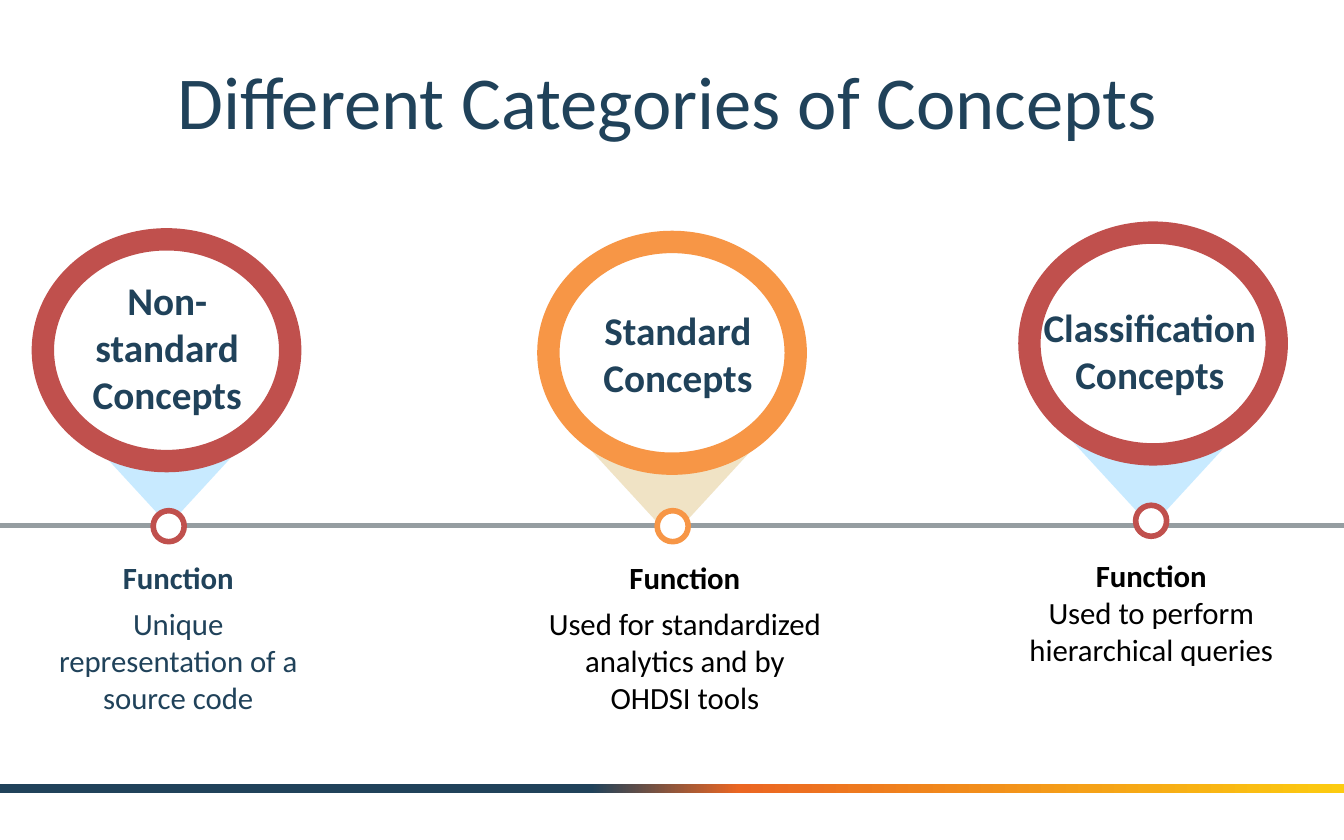
from lxml import etree
from pptx import Presentation
from pptx.dml.color import RGBColor
from pptx.enum.shapes import MSO_CONNECTOR, MSO_SHAPE
from pptx.enum.text import MSO_ANCHOR, PP_ALIGN
from pptx.oxml.ns import qn
from pptx.util import Pt

COLORS = {"navy": "20425A", "black": "000000", "white": "FFFFFF", "gray": "959DA1",
          "red": "C0504D", "orange": "F79646", "sky": "1DABFF", "gold": "C18B0D"}
FOOTER_STOPS = [(44, "20425A"), (55, "EB6622"), (100, "FCCB10")]

presentation = Presentation()
presentation.slide_width, presentation.slide_height = Pt(720), Pt(450)
slide = presentation.slides.add_slide(presentation.slide_layouts[6])


def add_shape(kind, box, fill, line=None, line_width=0):
    shape = slide.shapes.add_shape(kind, *map(Pt, box))
    shape.shadow.inherit = False
    shape.fill.solid()
    shape.fill.fore_color.rgb = RGBColor.from_string(COLORS[fill])
    if line:
        shape.line.color.rgb = RGBColor.from_string(COLORS[line])
        shape.line.width = Pt(line_width)
    else:
        shape.line.fill.background()
    return shape


def add_text(box, paragraphs, margins=(0, 0), anchor=MSO_ANCHOR.TOP):
    """Each paragraph is (text, font formats, paragraph formats)."""
    frame = slide.shapes.add_textbox(*map(Pt, box)).text_frame
    frame.word_wrap = True
    frame.vertical_anchor = anchor
    frame.margin_left = frame.margin_right = Pt(margins[0])
    frame.margin_top = frame.margin_bottom = Pt(margins[1])
    for index, (text, font, layout) in enumerate(paragraphs):
        paragraph = frame.add_paragraph() if index else frame.paragraphs[0]
        for name, value in layout.items():
            setattr(paragraph, name, value)
        run = paragraph.add_run()
        run.text = text
        run.font.name = "Calibri"
        for name, value in font.items():
            if name == "color":
                run.font.color.rgb = RGBColor.from_string(COLORS[value])
            else:
                setattr(run.font, name, value)


# Footer band with a three-colour gradient
footer = add_shape(MSO_SHAPE.RECTANGLE, (0, 420, 720, 5), "navy")
footer.fill.gradient()
footer.fill.gradient_angle = 0
stop_list = footer.fill._fill._gradFill.find(qn("a:gsLst"))
for stop in list(stop_list):
    stop_list.remove(stop)
for position, color in FOOTER_STOPS:
    stop = etree.SubElement(stop_list, qn("a:gs"), pos=str(position * 1000))
    etree.SubElement(stop, qn("a:srgbClr"), val=color)

add_text((90, 31.5, 594, 50),
         [("Different Categories of Concepts", {"size": Pt(40), "color": "navy"},
           {"alignment": PP_ALIGN.LEFT, "line_spacing": 0.9})],
         margins=(5, 5), anchor=MSO_ANCHOR.MIDDLE)

timeline = slide.shapes.add_connector(MSO_CONNECTOR.STRAIGHT, Pt(0), Pt(281.5), Pt(720), Pt(281.5))
timeline.line.color.rgb = RGBColor.from_string(COLORS["gray"])
timeline.line.width = Pt(3)
etree.SubElement(timeline._element.spPr, qn("a:effectLst"))

# Positions are (left, top); the text boxes also have a width and height
categories = [
    {"ring": "red", "pointer": "sky", "text": "navy", "gap": 4.5,
     "pointer_at": (44.6, 231.8), "dot_at": (82.1, 273.6), "ring_at": (23, 128.2),
     "name_box": (40.3, 145.4, 98.6, 82), "name": ["Non-standard Concepts"],
     "function_box": (20.2, 299.5, 150.5, 92),
     "function": ["Unique representation of a source code"]},
    {"ring": "orange", "pointer": "gold", "text": "black", "gap": 4.5,
     "pointer_at": (313.9, 238.3), "dot_at": (352.1, 273.6), "ring_at": (293.8, 129.6),
     "name_box": (313.9, 161.3, 98.6, 56), "name": ["Standard Concepts"],
     "function_box": (286.6, 299.5, 160.6, 92),
     "function": ["Used for standardized analytics and by", "OHDSI tools"]},
    {"ring": "red", "pointer": "sky", "text": "black", "gap": 0,
     "pointer_at": (571, 232.6), "dot_at": (608.4, 270.7), "ring_at": (551.5, 124.6),
     "name_box": (551.5, 159.8, 128.9, 56), "name": ["Classification", "Concepts"],
     "function_box": (546.5, 298.1, 140.4, 93.6),
     "function": ["Used to perform hierarchical queries"]},
]
centered = {"alignment": PP_ALIGN.CENTER}

for category in categories:
    pointer = add_shape(MSO_SHAPE.ISOSCELES_TRIANGLE, (*category["pointer_at"], 91.4, 49.7),
                        category["pointer"])
    pointer.rotation = 180
    pointer_color = pointer._element.spPr.find(qn("a:solidFill"))[0]
    etree.SubElement(pointer_color, qn("a:alpha"), val="24000")
    add_shape(MSO_SHAPE.OVAL, (*category["dot_at"], 16.6, 16.6), "white", category["ring"], 3)
    add_shape(MSO_SHAPE.OVAL, (*category["ring_at"], 132.5, 118.8), "white", category["ring"], 12)

    name_font = {"size": Pt(21), "bold": True, "color": "navy"}
    add_text(category["name_box"], [(line, name_font, centered) for line in category["name"]],
             margins=(5, 2.7))

    body_font = {"size": Pt(16.5), "bold": False, "color": category["text"]}
    paragraphs = [("Function", {**body_font, "bold": True}, centered)]
    for index, line in enumerate(category["function"]):
        gap = 0 if index else category["gap"]
        paragraphs.append((line, body_font, {**centered, "space_before": Pt(gap)}))
    add_text(category["function_box"], paragraphs)

presentation.save("out.pptx")
